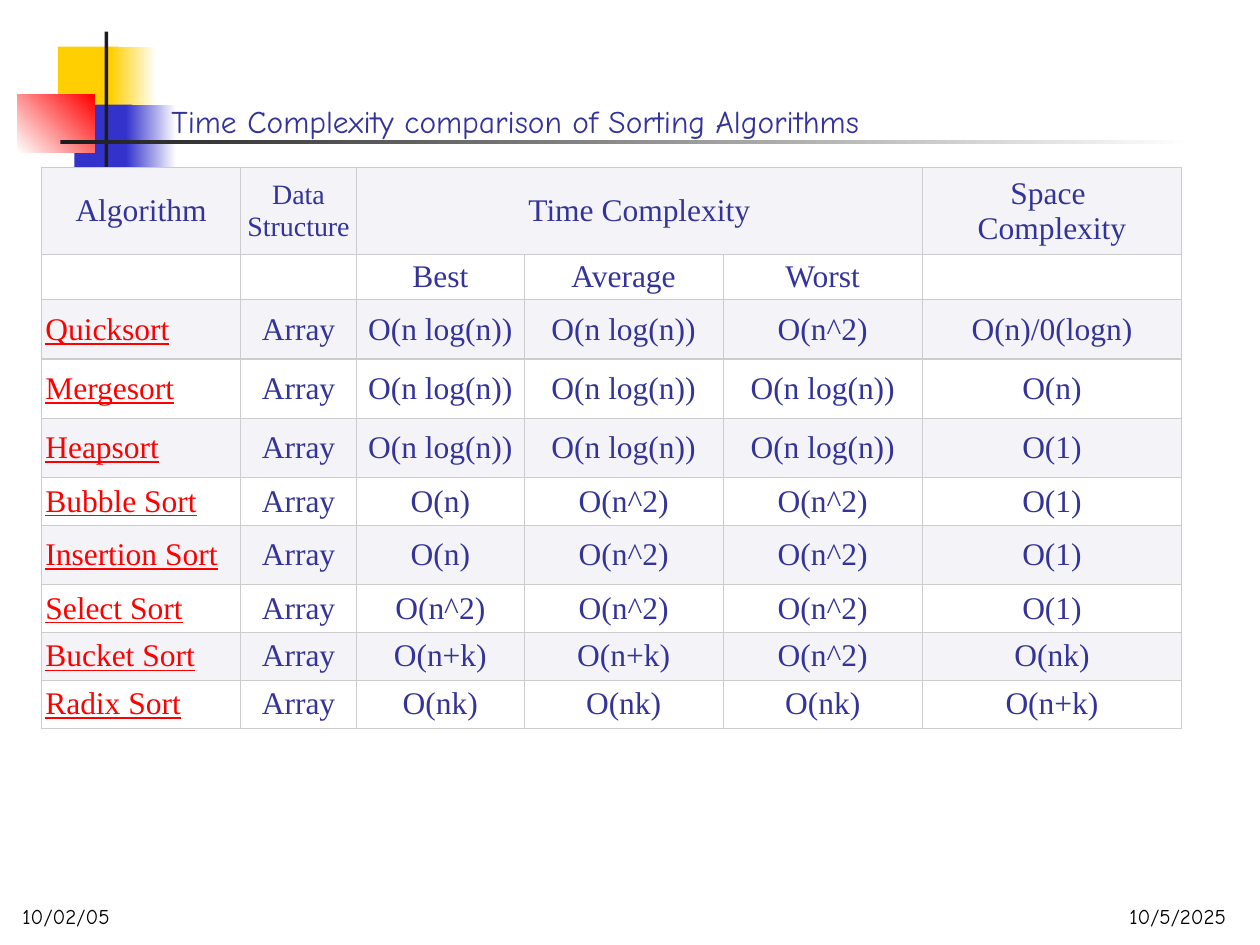
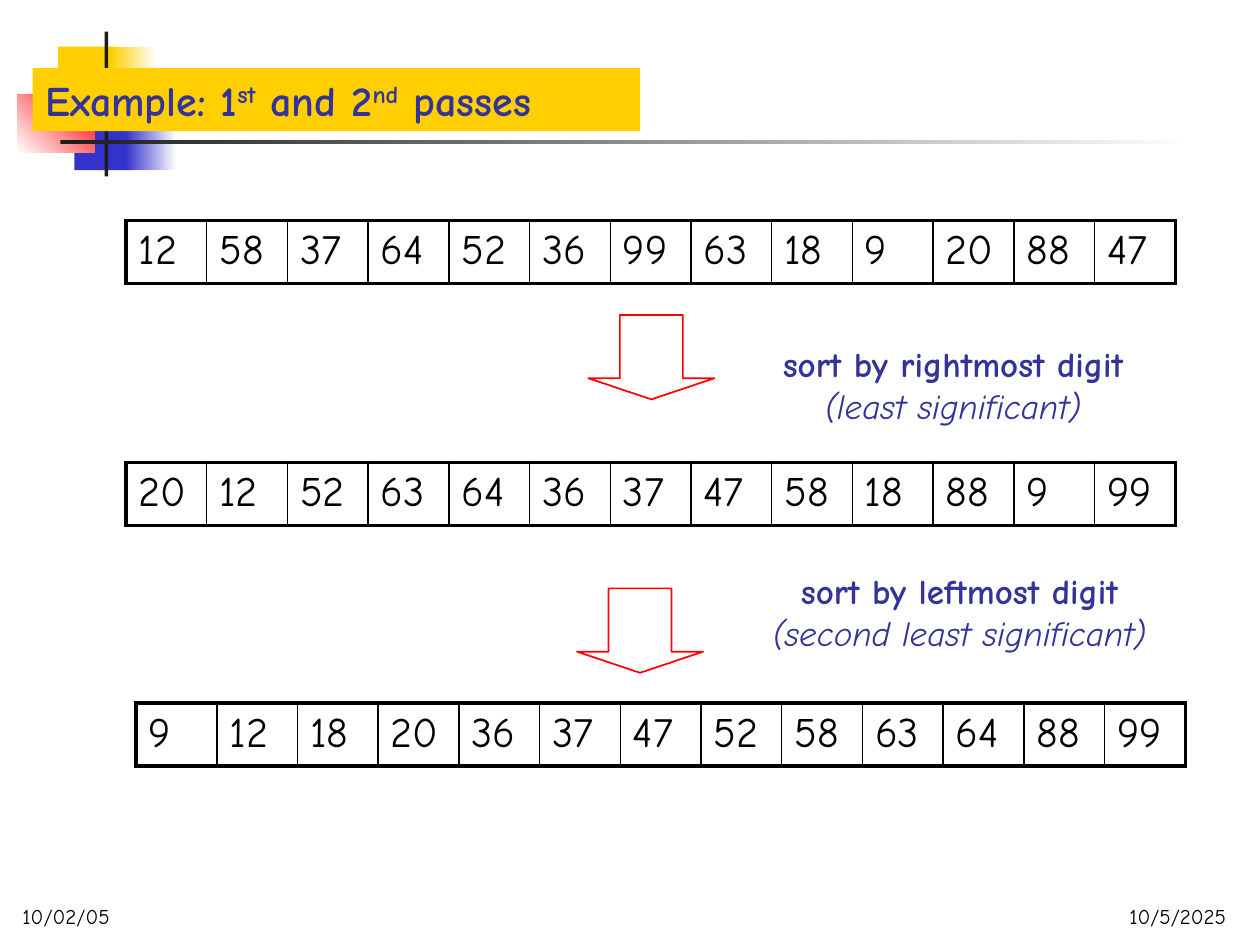
from dataclasses import dataclass
from typing import NamedTuple, Optional

from lxml import etree
from pptx import Presentation
from pptx.dml.color import RGBColor
from pptx.enum.shapes import MSO_SHAPE
from pptx.enum.text import MSO_ANCHOR, MSO_AUTO_SIZE, PP_ALIGN
from pptx.oxml.ns import qn
from pptx.slide import Slide, SlideLayout
from pptx.table import Table, _Cell
from pptx.text.text import TextFrame, _Paragraph
from pptx.util import Inches, Pt

RECT, ARROW = MSO_SHAPE.RECTANGLE, MSO_SHAPE.DOWN_ARROW
LEFT, MID, RIGHT = PP_ALIGN.LEFT, PP_ALIGN.CENTER, PP_ALIGN.RIGHT
TOP, CENTER, BASE = MSO_ANCHOR.TOP, MSO_ANCHOR.MIDDLE, MSO_ANCHOR.BOTTOM
NO_FIT, GROW = MSO_AUTO_SIZE.NONE, MSO_AUTO_SIZE.SHAPE_TO_FIT_TEXT


@dataclass(frozen=True)
class Theme:
    ink: str = "333399"
    gold: str = "FFCF01"
    blue: str = "3333CC"
    red: str = "FF0000"
    dark: str = "1C1C1C"
    black: str = "000000"
    white: str = "FFFFFF"
    band: str = "F4F4F8"
    grid: str = "CCCCCC"
    hand: str = "Comic Neue"
    serif: str = "Times New Roman"
    date: int = 12
    small: int = 16
    text: int = 18
    note: int = 20
    large: int = 24


T = Theme()


class Box(NamedTuple):
    x: float
    y: float
    w: float
    h: float

    def emu(self) -> list[int]:
        return [Inches(v) for v in self]


class Style(NamedTuple):
    size: int
    face: str = T.hand
    color: str = T.ink
    bold: bool = False
    ital: bool = False
    line: bool = False


class Block(NamedTuple):
    box: Box
    start: str
    end: Optional[str] = None
    angle: int = 0


class Edges(NamedTuple):
    L: float
    R: float
    T: float
    B: float


class Step(NamedTuple):
    arrow: Box
    note: Box
    head: str
    tail: str


DECOR = [
    Block(Box(0.46, 0.37, 0.48, 0.52), T.gold),
    Block(Box(0.88, 0.37, 0.36, 0.52), T.gold, T.white),
    Block(Box(0.59, 0.83, 0.46, 0.52), T.blue),
    Block(Box(1, 0.83, 0.4, 0.52), T.blue, T.white),
    Block(Box(0.14, 0.75, 0.61, 0.46), T.white, T.red, 45),
    Block(Box(0.83, 0.25, 0.03, 1.15), T.dark),
    Block(Box(0.48, 1.11, 9, 0.03), T.dark, T.white),
]

COLS = [1.58, 0.92, 1.33, 1.58, 1.58, 2.06]
ROWS = [0.69, 0.36, 0.47, 0.47, 0.47, 0.38, 0.47, 0.38, 0.38, 0.38]
LOG, SQUARE = "O(n log(n))", "O(n^2)"
COSTS = [
    ["Algorithm", "Data Structure", "Time Complexity", "", "", "Space \nComplexity"],
    ["", "", "Best", "Average", "Worst", ""],
    ["Quicksort", "Array", LOG, LOG, SQUARE, "O(n)/0(logn)"],
    ["Mergesort", "Array", LOG, LOG, LOG, "O(n)"],
    ["Heapsort", "Array", LOG, LOG, LOG, "O(1)"],
    ["Bubble Sort", "Array", "O(n)", SQUARE, SQUARE, "O(1)"],
    ["Insertion Sort", "Array", "O(n)", SQUARE, SQUARE, "O(1)"],
    ["Select Sort", "Array", SQUARE, SQUARE, SQUARE, "O(1)"],
    ["Bucket Sort", "Array", "O(n+k)", "O(n+k)", SQUARE, "O(nk)"],
    ["Radix Sort", "Array", "O(nk)", "O(nk)", "O(nk)", "O(n+k)"],
]

STRIP_W, STRIP_H = 8.33, 0.5
STRIPS = [
    (1, 1.75, [12, 58, 37, 64, 52, 36, 99, 63, 18, 9, 20, 88, 47]),
    (1, 3.67, [20, 12, 52, 63, 64, 36, 37, 47, 58, 18, 88, 9, 99]),
    (1.08, 5.58, [9, 12, 18, 20, 36, 37, 47, 52, 58, 63, 64, 88, 99]),
]
STEPS = [
    Step(Box(4.67, 2.5, 1, 0.67), Box(5.9, 2.67, 3.33, 0.77),
         "sort by rightmost digit", "(least significant)"),
    Step(Box(4.58, 4.67, 1, 0.67), Box(5.87, 4.47, 3.49, 0.77),
         "sort by leftmost digit", "(second least significant)"),
]


def rgb(color: str) -> RGBColor:
    return RGBColor.from_string(color)


def dress(par: _Paragraph, style: Style, align: PP_ALIGN = LEFT) -> None:
    par.alignment = align
    font = par.font
    font.size, font.name = Pt(style.size), style.face
    font.bold, font.italic, font.underline = style.bold, style.ital, style.line
    font.color.rgb = rgb(style.color)


def write(frame: TextFrame, text: str, style: Style, align: PP_ALIGN = LEFT) -> None:
    frame.text = text
    for par in frame.paragraphs:
        dress(par, style, align)


def draw_block(slide: Slide, block: Block):
    shape = slide.shapes.add_shape(RECT, *block.box.emu())
    shape.shadow.inherit = False
    shape.line.fill.background()
    if block.end is None:
        shape.fill.solid()
        shape.fill.fore_color.rgb = rgb(block.start)
    else:
        shape.fill.gradient()
        shape.fill.gradient_angle = block.angle
        for stop, color in zip(shape.fill.gradient_stops, (block.start, block.end)):
            stop.color.rgb = rgb(color)
    return shape


def draw_date(slide: Slide, x: float, text: str, align: PP_ALIGN):
    box = slide.shapes.add_textbox(*Box(x, 7.17, 2.08, 0.25).emu())
    frame = box.text_frame
    frame.word_wrap, frame.vertical_anchor = True, BASE
    write(frame, text, Style(T.date, color=T.black), align)
    return box


def fill_layout(slide: Slide, layout: SlideLayout) -> None:
    parts = [draw_block(slide, block) for block in DECOR]
    parts.append(draw_date(slide, 0.08, "10/02/05", LEFT))
    for num, part in enumerate(parts, 100):
        part.element.xpath(".//p:cNvPr")[0].set("id", str(num))
        layout.shapes.element.append(part.element)


def set_title(slide: Slide, box: Box, bits: list[str], style: Style) -> None:
    title = slide.shapes.title
    title.left, title.top, title.width, title.height = box.emu()
    frame = title.text_frame
    frame.auto_size, frame.vertical_anchor = NO_FIT, BASE
    par = frame.paragraphs[0]
    for pos, bit in enumerate(bits):
        run = par.add_run()
        run.text = bit
        if pos % 2:
            run._r.get_or_add_rPr().set("baseline", "30000")
    dress(par, style)


def add_grid(slide: Slide, box: Box, cols: list[float], rows: list[float]) -> Table:
    table = slide.shapes.add_table(len(rows), len(cols), *box.emu()).table
    table.first_row = table.horz_banding = False
    for col, width in zip(table.columns, cols):
        col.width = Inches(width)
    for row, height in zip(table.rows, rows):
        row.height = Inches(height)
    return table


def set_cell(cell: _Cell, edges: Edges, color: str, fill: Optional[str] = None) -> None:
    props = cell._tc.get_or_add_tcPr()
    for side, width in edges._asdict().items():
        line = etree.SubElement(props, qn(f"a:ln{side}"), w=str(Pt(width)))
        solid = etree.SubElement(line, qn("a:solidFill"))
        etree.SubElement(solid, qn("a:srgbClr"), val=color)
    if fill:
        cell.fill.solid()
        cell.fill.fore_color.rgb = rgb(fill)
    else:
        cell.fill.background()


def cost_style(row: int, col: int) -> Style:
    if row > 1 and col == 0:
        return Style(T.text, T.serif, T.red, line=True)
    return Style(T.small if (row, col) == (0, 1) else T.text, T.serif)


def draw_costs(slide: Slide) -> None:
    table = add_grid(slide, Box(0.33, 1.33, sum(COLS), sum(ROWS)), COLS, ROWS)
    for r, row in enumerate(COSTS):
        for c, text in enumerate(row):
            cell = table.cell(r, c)
            cell.margin_left = cell.margin_right = Inches(0.03)
            cell.margin_top = cell.margin_bottom = Inches(0.03)
            cell.vertical_anchor = CENTER
            align = LEFT if r > 1 and c == 0 else MID
            write(cell.text_frame, text, cost_style(r, c), align)
            fill = None if r % 2 else T.band
            set_cell(cell, Edges(0.75, 0.75, 0.75, 0.75), T.grid, fill)
    table.cell(0, 2).merge(table.cell(0, 4))


def draw_strip(slide: Slide, x: float, y: float, nums: list[int]) -> None:
    count = len(nums)
    box = Box(x, y, STRIP_W, STRIP_H)
    table = add_grid(slide, box, [STRIP_W / count] * count, [STRIP_H])
    thick, thin = 2.25, 1
    for c, num in enumerate(nums):
        cell = table.cell(0, c)
        cell.vertical_anchor = TOP
        write(cell.text_frame, str(num), Style(T.large, color=T.black))
        left = thin if c else thick
        right = thin if c < count - 1 else thick
        set_cell(cell, Edges(left, right, thick, thick), T.black)


def draw_step(slide: Slide, step: Step) -> None:
    arrow = slide.shapes.add_shape(ARROW, *step.arrow.emu())
    arrow.shadow.inherit = False
    arrow.adjustments[1] = 0.25
    arrow.fill.background()
    arrow.line.color.rgb, arrow.line.width = rgb(T.red), Pt(1)
    frame = slide.shapes.add_textbox(*step.note.emu()).text_frame
    frame.word_wrap, frame.auto_size = False, GROW
    frame.text = f"{step.head}\n{step.tail}"
    head, tail = frame.paragraphs
    dress(head, Style(T.note, bold=True), MID)
    dress(tail, Style(T.note, ital=True), MID)


def main() -> None:
    deck = Presentation()
    deck.slide_width, deck.slide_height = Inches(10), Inches(7.5)
    layout = deck.slide_layouts[5]
    costs, passes = (deck.slides.add_slide(layout) for _ in range(2))
    fill_layout(costs, layout)
    for slide in (costs, passes):
        draw_date(slide, 7.75, "10/5/2025", RIGHT)

    set_title(costs, Box(1.26, 0.33, 8.52, 0.83),
              ["Time Complexity comparison of Sorting Algorithms"], Style(T.text))
    draw_costs(costs)

    set_title(passes, Box(0.26, 0.54, 4.82, 0.5),
              ["Example: 1", "st", " and 2", "nd", " passes"],
              Style(T.large, bold=True))
    banner = passes.shapes.title.fill
    banner.solid()
    banner.fore_color.rgb = rgb(T.gold)
    for x, y, nums in STRIPS:
        draw_strip(passes, x, y, nums)
    for step in STEPS:
        draw_step(passes, step)
    deck.save("out.pptx")


if __name__ == "__main__":
    main()
